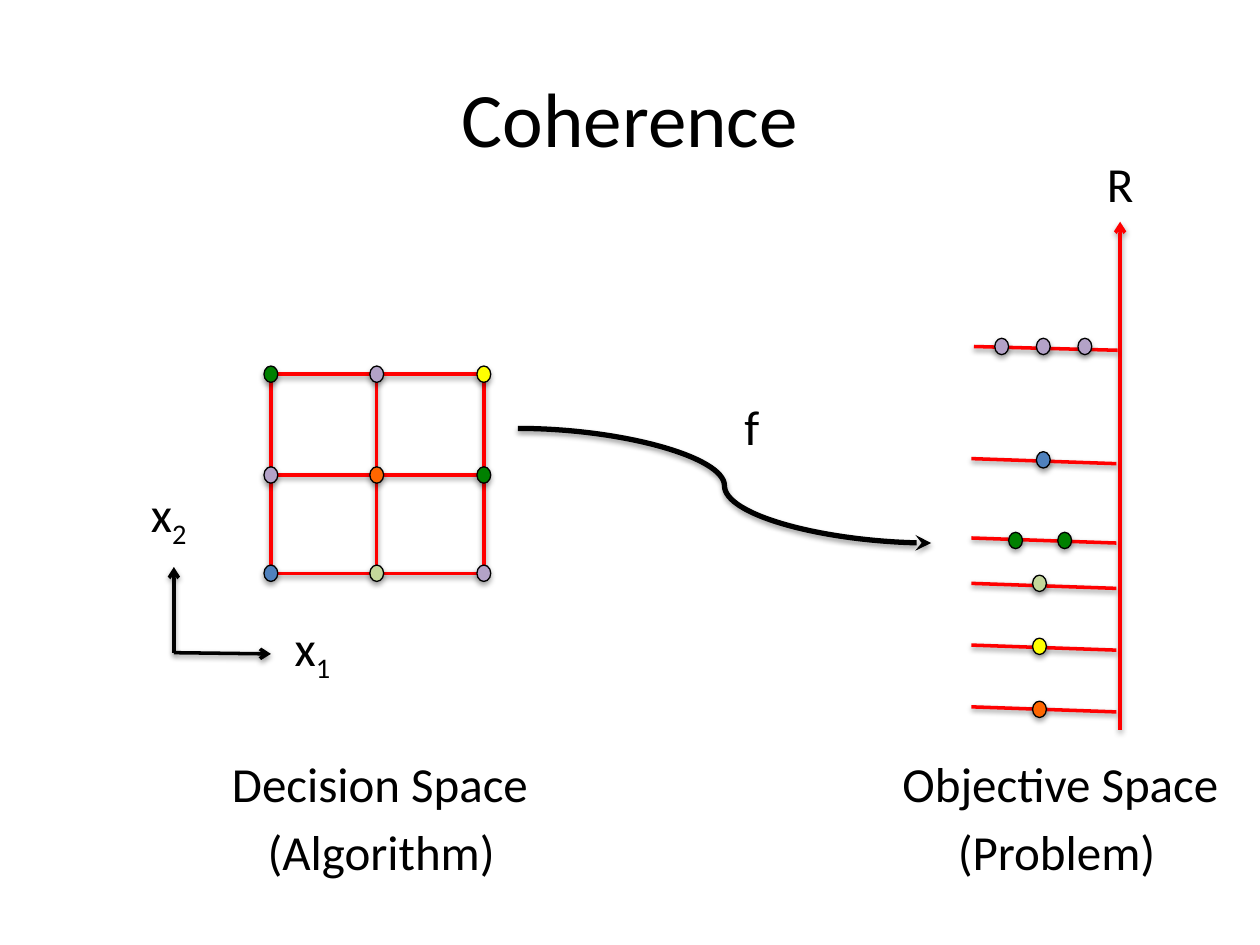
from dataclasses import dataclass
from itertools import product

from lxml.etree import SubElement
from pptx import Presentation
from pptx.dml.color import RGBColor
from pptx.enum.shapes import MSO_CONNECTOR, MSO_SHAPE
from pptx.enum.text import MSO_ANCHOR, PP_ALIGN
from pptx.oxml.ns import qn
from pptx.util import Inches, Pt


@dataclass(frozen=True)
class Theme:
    font: str = "Calibri"
    title_size: int = 44
    label_size: int = 28
    black: str = "000000"
    red: str = "FF0000"
    purple: str = "B3A2C7"
    blue: str = "4F81BD"
    green: str = "008000"
    lime: str = "C3D69B"
    yellow: str = "FFFF00"
    orange: str = "FF6600"


@dataclass(frozen=True)
class Level:
    """A value on the objective axis and the dots that map to it."""
    y: float
    dot_y: float
    color: str
    dot_xs: tuple[float, ...]
    left: float = 7.71
    right: float = 8.86
    drop: float = 0.04


@dataclass(frozen=True)
class Label:
    text: str
    left: float
    top: float
    width: float
    align: PP_ALIGN = PP_ALIGN.CENTER
    subscript: str = ""


T = Theme()
DOT_W, DOT_H = 0.11, 0.13

COLUMNS = (2.15, 2.99, 3.84)
ROWS = (2.97, 3.77, 4.55)
GRID_COLORS = (T.green, T.purple, T.yellow,
               T.purple, T.orange, T.green,
               T.blue, T.lime, T.purple)

LEVELS = (
    Level(2.75, 2.75, T.purple, (7.95, 8.28, 8.61), left=7.73, right=8.87, drop=0.03),
    Level(3.64, 3.65, T.blue, (8.28,)),
    Level(4.27, 4.29, T.green, (8.06, 8.45)),
    Level(4.63, 4.63, T.lime, (8.25,)),
    Level(5.12, 5.13, T.yellow, (8.25,)),
    Level(5.61, 5.63, T.orange, (8.25,)),
)

LABELS = (
    Label("R", 8.61, 1.17, 0.56),
    Label("x", 2.24, 4.85, 0.56, PP_ALIGN.LEFT, "1"),
    Label("x", 1.1, 3.79, 0.56, PP_ALIGN.LEFT, "2"),
    Label("f", 5.81, 3.1, 0.54, PP_ALIGN.LEFT),
    Label("Decision Space", 1.67, 5.93, 2.69),
    Label("(Algorithm)", 1.68, 6.47, 2.69),
    Label("Objective Space", 6.99, 5.93, 2.85),
    Label("(Problem)", 7.04, 6.47, 2.69),
)


def add_shadow(sp, distance: float, alpha: int) -> None:
    effects = SubElement(sp._element.spPr, qn("a:effectLst"))
    shadow = SubElement(effects, qn("a:outerShdw"), blurRad=str(Pt(3.1)),
                        dist=str(Pt(distance)), dir="5400000", rotWithShape="0")
    color = SubElement(shadow, qn("a:srgbClr"), val=T.black)
    SubElement(color, qn("a:alpha"), val=str(alpha * 1000))


def add_line(s, start: tuple[float, float], end: tuple[float, float], color: str,
             head: str = "", width: float = 2,
             kind: MSO_CONNECTOR = MSO_CONNECTOR.STRAIGHT) -> None:
    line = s.shapes.add_connector(kind, *map(Inches, start + end))
    line.line.color.rgb = RGBColor.from_string(color)
    line.line.width = Pt(width)
    if head:
        SubElement(line.line._get_or_add_ln(), qn("a:tailEnd"), type=head)
    add_shadow(line, 1.6, 38)


def add_dot(s, x: float, y: float, color: str) -> None:
    sp = s.shapes.add_shape(MSO_SHAPE.OVAL, Inches(x - DOT_W / 2), Inches(y - DOT_H / 2),
                            Inches(DOT_W), Inches(DOT_H))
    sp.fill.solid()
    sp.fill.fore_color.rgb = RGBColor.from_string(color)
    sp.line.color.rgb = RGBColor.from_string(T.black)
    sp.line.width = Pt(0.75)
    add_shadow(sp, 1.8, 35)


def format_run(r, size: int) -> None:
    r.font.name = T.font
    r.font.size = Pt(size)
    r.font.color.rgb = RGBColor.from_string(T.black)


def add_label(s, label: Label) -> None:
    box = s.shapes.add_textbox(Inches(label.left), Inches(label.top),
                               Inches(label.width), Inches(0.57))
    tf = box.text_frame
    tf.word_wrap = True
    p = tf.paragraphs[0]
    p.text = label.text
    p.alignment = label.align
    if label.subscript:
        r = p.add_run()
        r.text = label.subscript
        r.font._element.set("baseline", "-25000")
    for r in p.runs:
        format_run(r, T.label_size)


prs = Presentation()
prs.slide_width, prs.slide_height = Inches(10), Inches(7.5)
s = prs.slides.add_slide(prs.slide_layouts[5])

# Title
title = s.shapes.title
title.left, title.top, title.width, title.height = map(Inches, (0.5, 0.3, 9, 1.25))
tf = title.text_frame
tf.text = "Coherence"
tf.vertical_anchor = MSO_ANCHOR.MIDDLE
tf.paragraphs[0].alignment = PP_ALIGN.CENTER
format_run(tf.paragraphs[0].runs[0], T.title_size)

# Objective space: axis, levels and their dots
add_line(s, (8.89, 5.79), (8.89, 1.76), T.red, "arrow")
for level in LEVELS:
    add_line(s, (level.left, level.y), (level.right, level.y + level.drop), T.red)
    for x in level.dot_xs:
        add_dot(s, x, level.dot_y, level.color)

# Decision space: grid, axes and dots
for x in COLUMNS:
    add_line(s, (x, ROWS[0]), (x, ROWS[-1]), T.red)
for y in ROWS:
    add_line(s, (COLUMNS[0], y), (COLUMNS[-1], y), T.red)
for axis_end in ((2.15, 5.19), (1.38, 4.5)):
    add_line(s, (1.38, 5.18), axis_end, T.black, "arrow")
for (y, x), color in zip(product(ROWS, COLUMNS), GRID_COLORS):
    add_dot(s, x, y, color)

# Mapping from decisions to objectives
add_line(s, (4.11, 3.4), (7.39, 4.31), T.black, "stealth", 3, MSO_CONNECTOR.CURVE)

# Labels
for label in LABELS:
    add_label(s, label)

prs.save("out.pptx")
